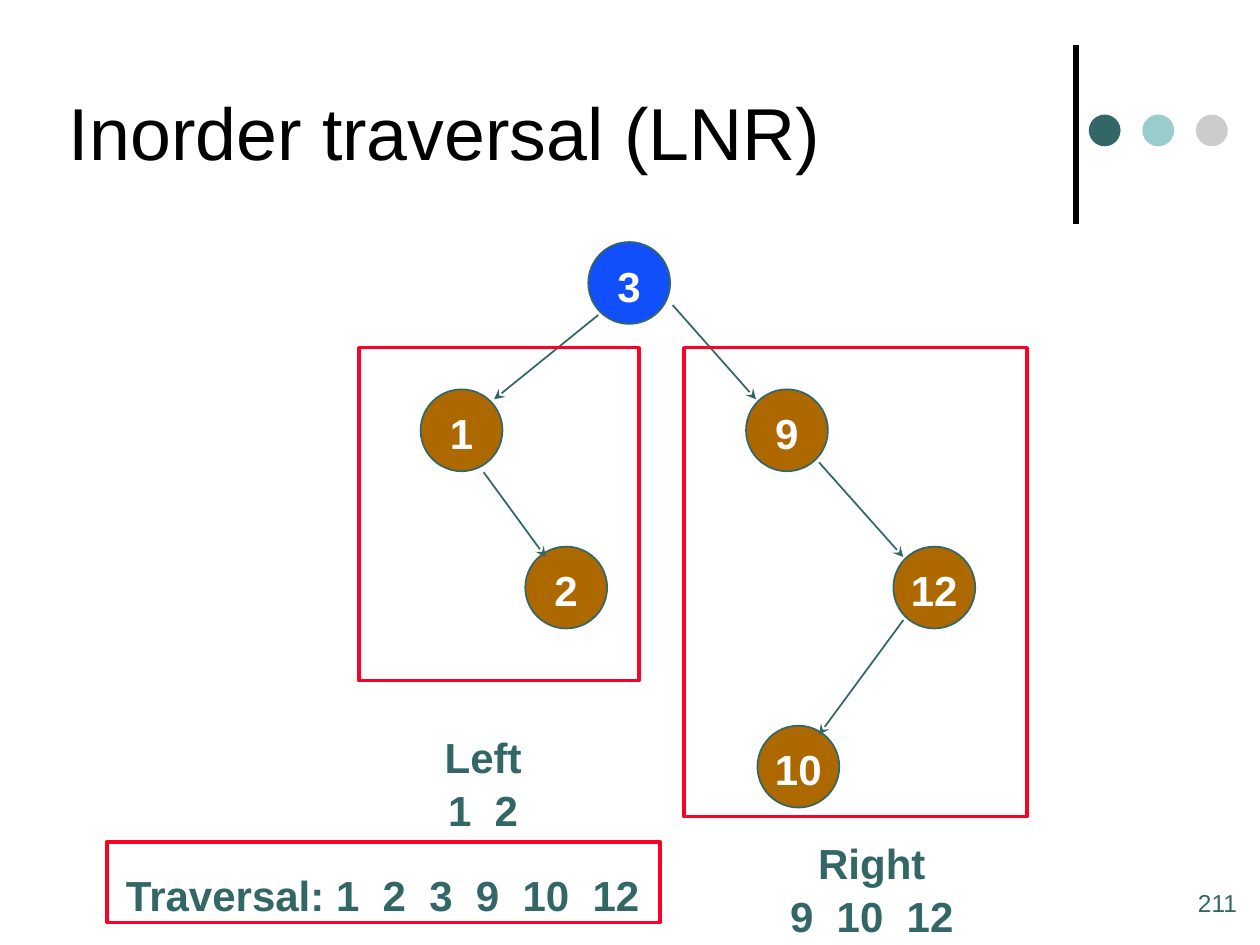
from pptx import Presentation, util as u
from pptx.dml.color import RGBColor
from pptx.enum import shapes, text
from pptx.oxml.ns import qn
from lxml import etree

TEAL, RED, BLUE, BROWN = "336666", "FC0128", "114FFB", "AD6900"
MID = text.MSO_ANCHOR.MIDDLE
CENTER, LEFT = text.PP_ALIGN.CENTER, text.PP_ALIGN.LEFT


def tint(code):
    return RGBColor.from_string(code)


def assign(obj, vals):
    for name, val in vals.items():
        setattr(obj, name, val)


class Page:
    font = {"name": "Arial", "size": u.Pt(24), "bold": True}
    frame = {"word_wrap": False, "margin_top": u.Cm(0.2)}

    def __init__(self, deck):
        self.slide = deck.slides.add_slide(deck.slide_layouts[6])
        self.items = self.slide.shapes

    def letter(self, shape, lines, color, align=CENTER, frame=None, font=None):
        body = shape.text_frame
        assign(body, {**self.frame, **(frame or {})})
        body.text = "\n".join(lines)
        for i, par in enumerate(body.paragraphs):
            par.alignment = align
            if i:
                par.space_before = u.Pt(1.5)
            for run in par.runs:
                assign(run.font, {**self.font, **(font or {})})
                run.font.color.rgb = tint(color)

    def label(self, box, lines, color=TEAL, **style):
        self.letter(self.items.add_textbox(*map(u.Cm, box)), lines, color, **style)

    def shape(self, kind, box, fill=None, line=None, width=1):
        item = self.items.add_shape(kind, *map(u.Cm, box))
        item.shadow.inherit = False
        if fill:
            item.fill.solid()
            item.fill.fore_color.rgb = tint(fill)
        else:
            item.fill.background()
        if line:
            item.line.color.rgb = tint(line)
            item.line.width = u.Pt(width)
        else:
            item.line.fill.background()
        return item

    def dot(self, x, y, size, fill, line=None):
        return self.shape(shapes.MSO_SHAPE.OVAL, (x, y, size, size), fill, line)

    def node(self, key, x, y, fill=BROWN):
        edges = dict.fromkeys(("margin_left", "margin_right", "margin_bottom"), 0)
        self.letter(self.dot(x, y, 1.65, fill, TEAL), [key], "FFFFFF",
                    frame={**edges, "margin_top": u.Cm(0.1), "vertical_anchor": MID})

    def frame_box(self, *box):
        self.shape(shapes.MSO_SHAPE.RECTANGLE, box, line=RED, width=2)

    def line(self, ends, color=TEAL, width=1, arrow=True):
        item = self.items.add_connector(shapes.MSO_CONNECTOR.STRAIGHT, *map(u.Cm, ends))
        item.line.color.rgb = tint(color)
        item.line.width = u.Pt(width)
        props = item._element.spPr
        if arrow:
            etree.SubElement(props.find(qn("a:ln")), qn("a:tailEnd"), type="stealth")
        etree.SubElement(props, qn("a:effectLst"))


def main():
    deck = Presentation()
    assign(deck, {"slide_width": u.Cm(25.4), "slide_height": u.Cm(19.05)})
    page = Page(deck)

    # Corner ornament and page number
    page.line((21.69, 4.52, 21.69, 0.91), "000000", 3, arrow=False)
    for i, fill in enumerate((TEAL, "99CCCC", "CCCCCC")):
        page.dot(21.95 + 1.08 * i, 2.31, 0.64, fill)
    page.label((23.9, 17.78, 1.5, 1.27), ["211"], align=LEFT,
               frame={"margin_top": u.Cm(0.13)},
               font={"size": u.Pt(14), "bold": False})

    # Title
    page.label((1.14, 0.53, 19.48, 4.24), ["Inorder traversal (LNR)"], "000000",
               align=LEFT,
               frame={"word_wrap": True, "vertical_anchor": MID,
                      "margin_top": u.Cm(0.13)},
               font={"size": u.Pt(42), "bold": False})

    # Tree
    page.node("3", 11.86, 4.88, BLUE)
    for key, x, y in (("1", 8.48, 7.85), ("9", 15.04, 7.85), ("12", 18.01, 11.02),
                      ("2", 10.59, 11.02), ("10", 15.27, 14.63)):
        page.node(key, x, y)
    for ends in ((12.06, 6.35, 9.96, 8.05), (13.56, 6.15, 15.24, 8.05),
                 (16.51, 9.32, 18.21, 11.23), (9.75, 9.52, 11, 11.23),
                 (18.21, 12.5, 16.51, 14.81)):
        page.line(ends)

    # Subtrees and result
    page.frame_box(7.24, 7.01, 5.64, 6.71)
    page.frame_box(13.79, 7.01, 6.91, 9.45)
    page.label((8.71, 14.55, 2.06, 2.29), ["Left", "1  2"])
    page.label((15.67, 16.69, 3.81, 2.29), ["Right", "9  10  12"])
    page.label((2.29, 17.32, 10.92, 1.27), ["Traversal: 1  2  3  9  10  12"], align=LEFT)
    page.frame_box(2.16, 16.97, 11.15, 1.63)

    deck.save("out.pptx")


if __name__ == "__main__":
    main()
